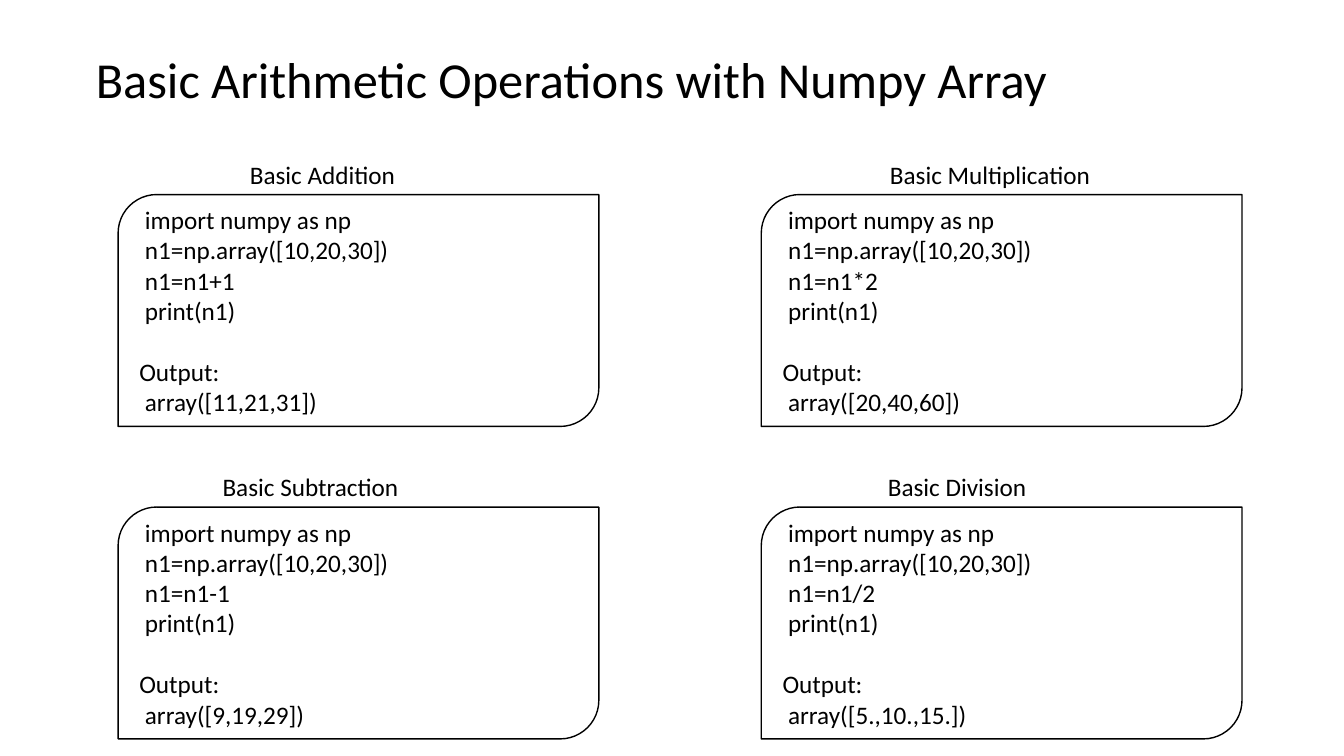
from pptx import Presentation
from pptx.dml.color import RGBColor
from pptx.enum.shapes import MSO_SHAPE
from pptx.enum.text import MSO_ANCHOR, MSO_AUTO_SIZE, PP_ALIGN
from pptx.util import Pt

CARD = MSO_SHAPE.ROUND_2_DIAG_RECTANGLE
TOP, MIDDLE = MSO_ANCHOR.TOP, MSO_ANCHOR.MIDDLE
LEFT = PP_ALIGN.LEFT
NO_FIT = MSO_AUTO_SIZE.NONE
BLACK, WHITE = "000000", "FFFFFF"


def color(hex_text):
    return RGBColor.from_string(hex_text)


def write(box, lines, size, anchor=TOP, wrap=False):
    """Fill a box with (text, indent, space before) lines."""
    frame = box.text_frame
    frame_format = {"auto_size": NO_FIT, "word_wrap": wrap, "vertical_anchor": anchor,
                    "margin_left": Pt(7.2), "margin_right": Pt(7.2),
                    "margin_top": Pt(3.6), "margin_bottom": Pt(3.6)}
    for name, value in frame_format.items():
        setattr(frame, name, value)
    for index, (text, indent, before) in enumerate(lines):
        para = frame.add_paragraph() if index else frame.paragraphs[0]
        para.alignment = LEFT
        para.space_before = Pt(before)
        if indent:
            para._p.get_or_add_pPr().set("marL", str(Pt(indent)))
        span = para.add_run()
        span.text = text
        for name, value in {"name": "Calibri", "size": Pt(size)}.items():
            setattr(span.font, name, value)
        span.font.color.rgb = color(BLACK)


deck = Presentation()
deck.slide_width, deck.slide_height = Pt(960), Pt(540)
page = deck.slides.add_slide(deck.slide_layouts[5])

# Title
title = page.shapes.title
title_place = {"left": 61.2, "top": 31, "width": 701.3, "height": 51}
for name, value in title_place.items():
    setattr(title, name, Pt(value))
write(title, [("Basic Arithmetic Operations with Numpy Array", 0, 0)], 36)

# Code cards in a 2 by 2 grid: heading, heading left and width, operation, result
operations = [
    ("Basic Addition", 171.4, 119.5, "+1", "[11,21,31]"),
    ("Basic Multiplication", 628.6, 159.1, "*2", "[20,40,60]"),
    ("Basic Subtraction", 151.9, 141.1, "-1", "[9,19,29]"),
    ("Basic Division", 627.1, 114.5, "/2", "[5.,10.,15.]"),
]
card_left, card_top, step_x, step_y = 84.4, 139, 459.4, 223.2
card_width, card_height = 343.4, 165.6
heading_height = 28.8
code_indent, output_gap = 4, 22

for index, (heading, heading_left, heading_width, step, result) in enumerate(operations):
    row, column = divmod(index, 2)
    top = card_top + row * step_y

    card = page.shapes.add_shape(CARD, Pt(card_left + column * step_x), Pt(top),
                                 Pt(card_width), Pt(card_height))
    card.shadow.inherit = False
    card.fill.solid()
    card.fill.fore_color.rgb = color(WHITE)
    card.line.color.rgb = color(BLACK)
    card.line.width = Pt(1)
    code = ["import numpy as np", "n1=np.array([10,20,30])", f"n1=n1{step}", "print(n1)"]
    lines = [(text, code_indent, 0) for text in code]
    lines += [("Output:", 0, output_gap), (f"array({result})", code_indent, 0)]
    write(card, lines, 18, MIDDLE, True)

    label = page.shapes.add_textbox(Pt(heading_left), Pt(top - heading_height),
                                    Pt(heading_width), Pt(heading_height))
    write(label, [(heading, 0, 0)], 18)

deck.save("out.pptx")
